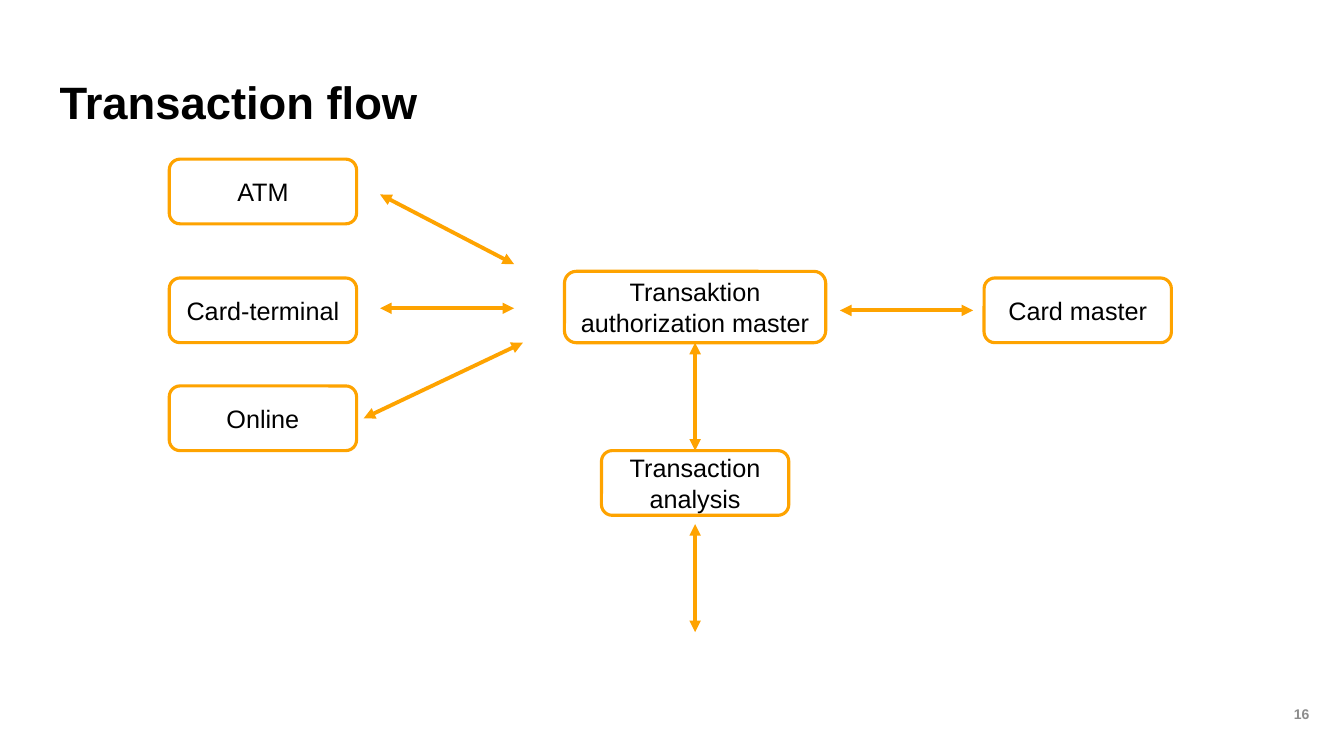
from collections import namedtuple

from lxml import etree
from pptx import Presentation
from pptx import util as u
from pptx.dml.color import RGBColor
from pptx.enum import shapes, text
from pptx.oxml import ns

ORANGE = RGBColor(0xFE, 0xA3, 0x00)
WHITE = RGBColor(0xFF, 0xFF, 0xFF)
BLACK = RGBColor(0x00, 0x00, 0x00)
GRAY = RGBColor(0x8C, 0x8C, 0x8C)

FONT = "Arial"
SLIDE_W, SLIDE_H = u.Inches(13.33), u.Inches(7.5)
COLS, ROWS = 32, 18
NODE_W, NODE_H = 4.46, 1.54

Box = namedtuple("Box", "x y w h")


def col(n):
    return round(SLIDE_W * n / COLS)


def row(n):
    return round(SLIDE_H * n / ROWS)


def emu(box):
    return col(box.x), row(box.y), col(box.w), row(box.h)


def write(tf, words, size, color, align, bold=False):
    p = tf.paragraphs[0]
    p.alignment = align
    r = p.add_run()
    r.text = words
    r.font.name, r.font.size, r.font.bold = FONT, u.Pt(size), bold
    r.font.color.rgb = color
    return p


def add_node(s, box, words):
    sp = s.shapes.add_shape(shapes.MSO_SHAPE.ROUNDED_RECTANGLE, *emu(box))
    sp.shadow.inherit = False
    sp.fill.solid()
    sp.fill.fore_color.rgb = WHITE
    sp.line.color.rgb = ORANGE
    sp.line.width = u.Pt(2.25)
    tf = sp.text_frame
    tf.word_wrap = True
    tf.vertical_anchor = text.MSO_ANCHOR.MIDDLE
    write(tf, words, 18, BLACK, text.PP_ALIGN.CENTER)


def add_link(s, x1, y1, x2, y2):
    link = s.shapes.add_connector(
        shapes.MSO_CONNECTOR.STRAIGHT, col(x1), row(y1), col(x2), row(y2))
    link.line.color.rgb = ORANGE
    link.line.width = u.Pt(2.75)
    ln = link.line._get_or_add_ln()
    for end in ("a:headEnd", "a:tailEnd"):
        etree.SubElement(ln, ns.qn(end), type="triangle")
    etree.SubElement(link._element.spPr, ns.qn("a:effectLst"))


def add_title(s, box):
    sp = s.shapes.title
    sp.left, sp.top, sp.width, sp.height = emu(box)
    tf = sp.text_frame
    tf.word_wrap = True
    tf.auto_size = text.MSO_AUTO_SIZE.NONE
    tf.vertical_anchor = text.MSO_ANCHOR.BOTTOM
    tf.margin_left = 0
    p = write(tf, "Transaction flow", 32.4, BLACK, text.PP_ALIGN.LEFT, True)
    p.line_spacing = 0.9


def add_page_number(s, box):
    tf = s.shapes.add_textbox(*emu(box)).text_frame
    tf.word_wrap = True
    tf.vertical_anchor = text.MSO_ANCHOR.MIDDLE
    write(tf, "16", 10, GRAY, text.PP_ALIGN.CENTER, True)


def add_channels(s, box):
    channels = (
        ("ATM", 0, (5.02, 0.84, 8.21, 2.5)),
        ("Card-terminal", 2.83, (5.02, 3.55, 8.21, 3.55)),
        ("Online", 5.4, (4.63, 6.17, 8.42, 4.37)),
    )
    for name, top, (x1, y1, x2, y2) in channels:
        add_node(s, Box(box.x, box.y + top, NODE_W, NODE_H), name)
        add_link(s, box.x + x1, box.y + y1, box.x + x2, box.y + y2)


def add_authorization(s, box):
    master_h, analysis_top, link_h = 1.7, 4.27, 2.57
    center = box.x + box.w / 2
    add_node(s, Box(box.x, box.y, box.w, master_h),
             "Transaktion authorization master")
    add_node(s, Box(center - NODE_W / 2, box.y + analysis_top, NODE_W, NODE_H),
             "Transaction analysis")
    for top in (master_h, box.h - link_h):
        add_link(s, center, box.y + top, center, box.y + top + link_h)


def add_card_master(s, box):
    middle = box.y + box.h / 2
    add_link(s, box.x, middle, box.x + 3.17, middle)
    add_node(s, Box(box.x + box.w - NODE_W, box.y, NODE_W, box.h), "Card master")


def main():
    prs = Presentation()
    prs.slide_width, prs.slide_height = SLIDE_W, SLIDE_H
    s = prs.slides.add_slide(prs.slide_layouts.get_by_name("Title Only"))
    add_title(s, Box(1.42, 1.68, 28.56, 1.51))
    add_channels(s, Box(4.03, 3.79, 8.42, 6.94))
    add_authorization(s, Box(13.44, 6.46, 6.22, 8.59))
    add_card_master(s, Box(20, 6.62, 7.89, NODE_H))
    add_page_number(s, Box(29.98, 15.98, 2.02, 2.02))
    prs.save("out.pptx")


if __name__ == "__main__":
    main()
